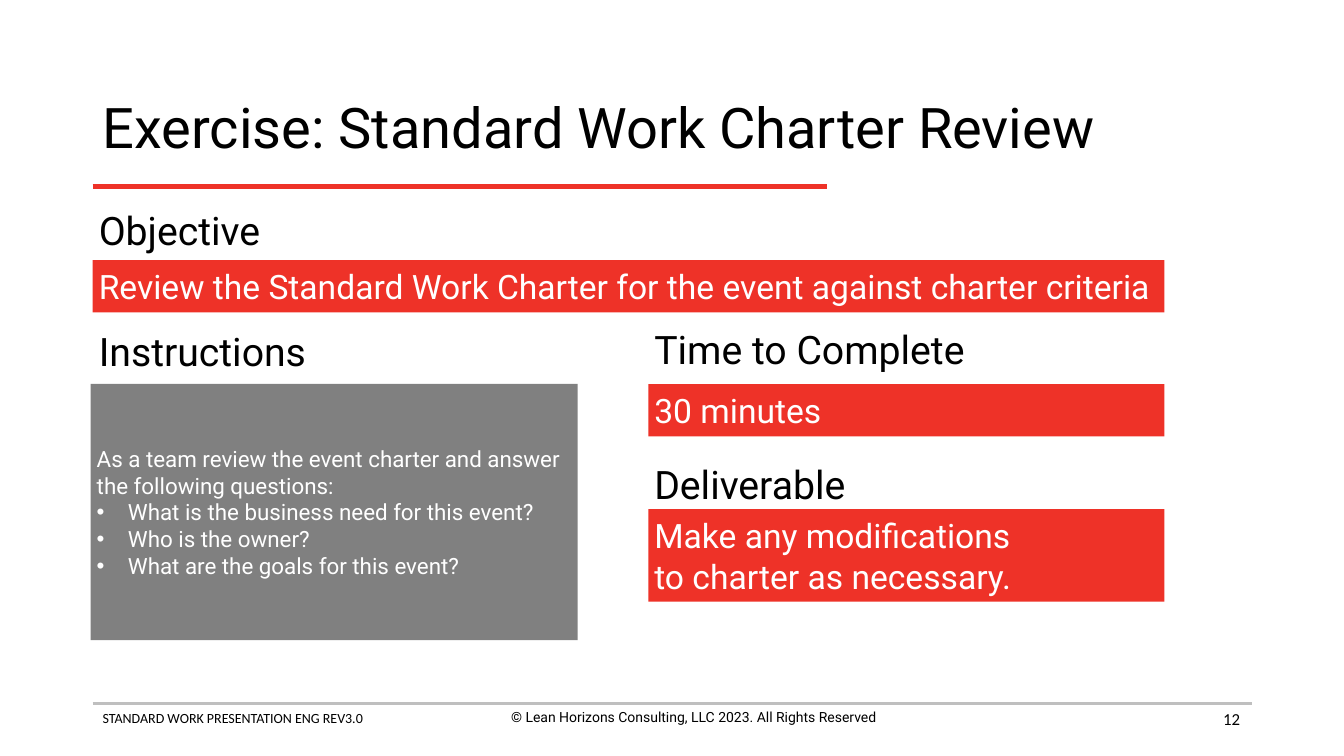
from lxml.etree import SubElement
from pptx import Presentation
from pptx.dml.color import RGBColor
from pptx.enum.shapes import MSO_CONNECTOR, MSO_SHAPE
from pptx.enum.text import MSO_ANCHOR, MSO_AUTO_SIZE, PP_ALIGN
from pptx.oxml.ns import qn
from pptx.util import Inches, Pt

COLORS = {
    "red": "EE3228",
    "gray": "808080",
    "rule": "BFBFBF",
    "black": "000000",
    "white": "FFFFFF",
}
LEFT, RIGHT_COLUMN, PANEL_RIGHT, PAGE_RIGHT = 0.92, 6.43, 11.55, 12.42
INSET = 0.06
INDENT = 0.31


def add_text(paragraph, text, size, color, font="Roboto"):
    for index, line in enumerate(text.split("\n")):
        if index:
            paragraph.add_line_break()
        run = paragraph.add_run()
        run.text = line
        run.font.size = Pt(size)
        run.font.name = font
        run.font.color.rgb = RGBColor.from_string(COLORS[color])


def format_frame(frame, anchor, auto_size, wrap=True, inset=None):
    frame.auto_size = auto_size
    frame.word_wrap = wrap
    frame.vertical_anchor = anchor
    if inset is not None:
        frame.margin_left = frame.margin_right = Inches(inset)
        frame.margin_top = frame.margin_bottom = Inches(inset)


presentation = Presentation()
presentation.slide_width = Inches(13.33)
presentation.slide_height = Inches(7.5)
slide = presentation.slides.add_slide(presentation.slide_layouts[5])
shapes = slide.shapes

title = shapes.title
title.left, title.top = Inches(LEFT), Inches(0.74)
title.width, title.height = Inches(PAGE_RIGHT - LEFT), Inches(1.1)
format_frame(title.text_frame, MSO_ANCHOR.MIDDLE, MSO_AUTO_SIZE.NONE)
title_paragraph = title.text_frame.paragraphs[0]
title_paragraph.alignment = PP_ALIGN.LEFT
title_paragraph.line_spacing = 0.9
add_text(title_paragraph, "Exercise: Standard Work Charter Review", 40, "black")

for top, right, color, weight in [
    (1.85, 8.2, "red", 3),
    (6.98, PAGE_RIGHT, "rule", 2),
]:
    rule = shapes.add_connector(
        MSO_CONNECTOR.STRAIGHT, Inches(LEFT), Inches(top), Inches(right), Inches(top)
    )
    rule.line.color.rgb = RGBColor.from_string(COLORS[color])
    rule.line.width = Pt(weight)
    SubElement(rule._element.spPr, qn("a:effectLst"))

for text, left, top, width, height, size, font, alignment, anchor in [
    ("STANDARD WORK PRESENTATION ENG REV3.0", LEFT, 6.99, 4.56, 0.44, 10,
     "Calibri", PP_ALIGN.LEFT, MSO_ANCHOR.TOP),
    ("© Lean Horizons Consulting, LLC 2023. All Rights Reserved", 4.6, 6.98, 4.56, 0.44, 10,
     "Roboto", PP_ALIGN.CENTER, MSO_ANCHOR.TOP),
    ("12", 9.4, 6.93, 3, 0.4, 12, "Calibri", PP_ALIGN.RIGHT, MSO_ANCHOR.MIDDLE),
]:
    footer = shapes.add_textbox(Inches(left), Inches(top), Inches(width), Inches(height))
    format_frame(footer.text_frame, anchor, MSO_AUTO_SIZE.NONE)
    paragraph = footer.text_frame.paragraphs[0]
    paragraph.alignment = alignment
    add_text(paragraph, text, size, "black", font)

for text, left, top, width in [
    ("Objective", LEFT, 1.99, 1.75),
    ("Instructions", LEFT, 3.19, 2.21),
    ("Time to Complete", RIGHT_COLUMN, 3.17, 3.25),
    ("Deliverable", RIGHT_COLUMN, 4.51, 2.07),
]:
    heading = shapes.add_textbox(Inches(left), Inches(top), Inches(width), Inches(0.58))
    format_frame(
        heading.text_frame, MSO_ANCHOR.TOP, MSO_AUTO_SIZE.SHAPE_TO_FIT_TEXT, False, INSET
    )
    add_text(heading.text_frame.paragraphs[0], text, 28, "black")

instructions = [
    "As a team review the event charter and answer the following questions:",
    "What is the business need for this event?",
    "Who is the owner?",
    "What are the goals for this event?",
]
objective = ["Review the Standard Work Charter for the event against charter criteria"]
deliverable = ["Make any modifications\nto charter as necessary."]
fit, fixed = MSO_AUTO_SIZE.SHAPE_TO_FIT_TEXT, MSO_AUTO_SIZE.NONE

for lines, left, top, right, height, fill, size, auto_size in [
    (objective, LEFT, 2.58, PANEL_RIGHT, 0.52, "red", 24, fit),
    (instructions, 0.9, 3.81, 5.73, 2.54, "gray", 16, fixed),
    (["30 minutes"], RIGHT_COLUMN, 3.81, PANEL_RIGHT, 0.52, "red", 24, fit),
    (deliverable, RIGHT_COLUMN, 5.05, PANEL_RIGHT, 0.92, "red", 24, fit),
]:
    panel = shapes.add_shape(
        MSO_SHAPE.RECTANGLE, Inches(left), Inches(top), Inches(right - left), Inches(height)
    )
    panel.shadow.inherit = False
    panel.fill.solid()
    panel.fill.fore_color.rgb = RGBColor.from_string(COLORS[fill])
    panel.line.fill.background()
    frame = panel.text_frame
    format_frame(frame, MSO_ANCHOR.MIDDLE, auto_size, True, INSET)
    for index, line in enumerate(lines):
        paragraph = frame.add_paragraph() if index else frame.paragraphs[0]
        paragraph.alignment = PP_ALIGN.LEFT
        if index:
            properties = paragraph._p.get_or_add_pPr()
            properties.set("marL", str(Inches(INDENT)))
            properties.set("indent", str(-Inches(INDENT)))
            SubElement(properties, qn("a:buFont"), typeface="Arial")
            SubElement(properties, qn("a:buChar"), char="•")
        add_text(paragraph, line, size, "white")

presentation.save("out.pptx")
